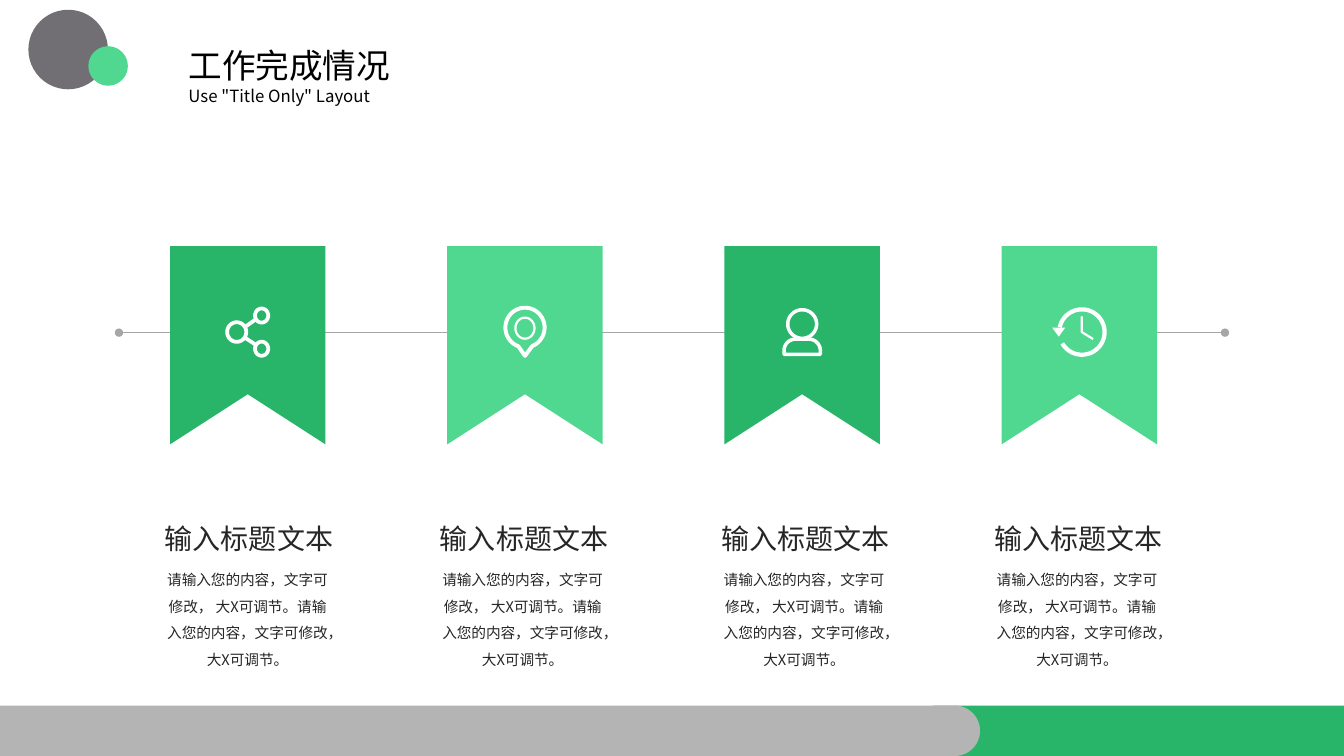
from dataclasses import dataclass
from math import cos, radians, sin

from lxml.etree import SubElement
from pptx import Presentation
from pptx.dml.color import RGBColor
from pptx.enum.shapes import MSO_CONNECTOR, MSO_SHAPE
from pptx.enum.text import MSO_ANCHOR, MSO_AUTO_SIZE, PP_ALIGN
from pptx.oxml.ns import qn
from pptx.shapes.autoshape import Shape
from pptx.slide import Slide
from pptx.text.text import TextFrame
from pptx.util import Pt

GREEN = RGBColor(0x28, 0xB5, 0x6A)
MINT = RGBColor(0x50, 0xD8, 0x90)
GRAY = RGBColor(0xB4, 0xB4, 0xB4)
DARK_GRAY = RGBColor(0x71, 0x6F, 0x73)
LINE_GRAY = RGBColor(0xA6, 0xA6, 0xA6)
INK = RGBColor(0x26, 0x26, 0x26)
BLACK = RGBColor(0, 0, 0)
WHITE = RGBColor(0xFF, 0xFF, 0xFF)

FONT = "Noto Sans CJK SC"
HEADING = "输入标题文本"
BODY = "请输入您的内容，文字可修改， 大X可调节。请输入您的内容，文字可修改，大X可调节。"

RIBBON_LEFT, RIBBON_TOP, RIBBON_PITCH = 121.5, 175.8, 198
RIBBON_W, RIBBON_H, NOTCH_H = 111, 141.6, 35.8
TIMELINE_Y = 237.6

Points = list[tuple[float, float]]


@dataclass(frozen=True)
class Decoration:
    kind: MSO_SHAPE
    x: float
    y: float
    w: float
    h: float
    color: RGBColor


@dataclass(frozen=True)
class Stroke:
    points: Points
    width: float
    closed: bool = False
    filled: bool = False


@dataclass(frozen=True)
class Step:
    color: RGBColor
    text_x: float
    icon: list[Stroke]


def arc(cx: float, cy: float, rx: float, ry: float, start: int, end: int) -> Points:
    return [(cx + rx * cos(radians(a)), cy + ry * sin(radians(a)))
            for a in range(start, end + 1, 6)]


def ring(cx: float, cy: float, rx: float, ry: float, width: float) -> Stroke:
    return Stroke(arc(cx, cy, rx, ry, 0, 354), width, closed=True)


SHARE = [
    ring(-7.9, -0.4, 6.8, 7, 2.7),
    ring(9.9, -12.2, 4.7, 5, 2.7),
    ring(9.9, 11.5, 4.7, 5, 2.7),
    Stroke([(-1.8, -4.2), (5.6, -9.4)], 2.7),
    Stroke([(-1.8, 3.8), (5.6, 8.6)], 2.7),
]
PIN = [
    Stroke(arc(0, -3.6, 14, 14.2, 110, 430) + [(0, 16.6)], 2.8, closed=True),
    ring(0, -3.2, 6.8, 7.5, 1.6),
]
PERSON = [
    ring(0, -6.1, 10.3, 10.2, 2.5),
    Stroke([(-13, 15.5)] + arc(-5, 13, 8, 8.3, 180, 270)
           + arc(5, 13, 8, 8.3, 270, 360) + [(13, 15.5)], 2.5, closed=True),
]
CLOCK = [
    Stroke(arc(1.8, -0.4, 16.2, 16.2, 192, 510), 3),
    Stroke([(-19.4, -3.6), (-10.1, -3.6), (-14.7, 2.9)], 0, closed=True, filled=True),
    Stroke([(1.7, -11.5), (1.7, -0.4), (9.8, 4.6)], 1.6),
]

DECORATIONS = [
    Decoration(MSO_SHAPE.ROUNDED_RECTANGLE, 651, 504, 344, 36, GREEN),
    Decoration(MSO_SHAPE.ROUNDED_RECTANGLE, -33, 504, 733, 36, GRAY),
    Decoration(MSO_SHAPE.FLOWCHART_CONNECTOR, 20.3, 7, 56.8, 56.8, DARK_GRAY),
    Decoration(MSO_SHAPE.FLOWCHART_CONNECTOR, 63.1, 33, 28.3, 28.3, MINT),
]
STEPS = [
    Step(GREEN, 116, SHARE),
    Step(MINT, 312.5, PIN),
    Step(GREEN, 513.5, PERSON),
    Step(MINT, 708.5, CLOCK),
]


def paint(sp: Shape, color: RGBColor) -> None:
    sp.shadow.inherit = False
    sp.fill.solid()
    sp.fill.fore_color.rgb = color
    sp.line.fill.background()


def place(sp: Shape, x: float, y: float, w: float, h: float) -> None:
    sp.left, sp.top, sp.width, sp.height = Pt(x), Pt(y), Pt(w), Pt(h)


def write(tf: TextFrame, text: str, size: float, color: RGBColor,
          align: PP_ALIGN = PP_ALIGN.LEFT, spacing: float = 1.0) -> None:
    tf.word_wrap = True
    tf.auto_size = MSO_AUTO_SIZE.NONE
    tf.vertical_anchor = MSO_ANCHOR.TOP
    p = tf.paragraphs[0]
    p.add_run().text = text
    p.alignment = align
    p.line_spacing = spacing
    p.font.name = FONT
    p.font.size = Pt(size)
    p.font.color.rgb = color
    SubElement(p._p.pPr.find(qn("a:defRPr")), qn("a:ea"), typeface=FONT)


def add_caption(s: Slide, x: float, y: float, h: float, text: str,
                size: float, spacing: float) -> None:
    tf = s.shapes.add_textbox(Pt(x), Pt(y), Pt(121.7), Pt(h)).text_frame
    tf.margin_left = tf.margin_right = tf.margin_top = tf.margin_bottom = 0
    write(tf, text, size, INK, PP_ALIGN.CENTER, spacing)


def add_outline(s: Slide, points: Points, closed: bool) -> Shape:
    emu = [(Pt(x), Pt(y)) for x, y in points]
    builder = s.shapes.build_freeform(*emu[0], scale=1.0)
    builder.add_line_segments(emu[1:], close=closed)
    return builder.convert_to_shape()


def add_stroke(s: Slide, stroke: Stroke, cx: float, cy: float) -> None:
    sp = add_outline(s, [(cx + x, cy + y) for x, y in stroke.points], stroke.closed)
    paint(sp, WHITE)
    if not stroke.filled:
        sp.fill.background()
        sp.line.color.rgb = WHITE
        sp.line.width = Pt(stroke.width)


def add_timeline(s: Slide) -> None:
    line = s.shapes.add_connector(MSO_CONNECTOR.STRAIGHT, Pt(85), Pt(TIMELINE_Y),
                                  Pt(875), Pt(TIMELINE_Y))
    line.line.color.rgb = LINE_GRAY
    line.line.width = Pt(1)
    for end in ("a:headEnd", "a:tailEnd"):
        SubElement(line.line._get_or_add_ln(), qn(end), type="oval")
    SubElement(line._element.spPr, qn("a:effectLst"))


def add_step(s: Slide, index: int, step: Step) -> None:
    left = RIBBON_LEFT + index * RIBBON_PITCH
    center, right, bottom = left + RIBBON_W / 2, left + RIBBON_W, RIBBON_TOP + RIBBON_H
    ribbon = [(left, RIBBON_TOP), (right, RIBBON_TOP), (right, bottom),
              (center, bottom - NOTCH_H), (left, bottom)]
    paint(add_outline(s, ribbon, True), step.color)
    for stroke in step.icon:
        add_stroke(s, stroke, center, TIMELINE_Y)
    add_caption(s, step.text_x + 1, 372.2, 24.5, HEADING, 20, 1.0)
    add_caption(s, step.text_x, 401.8, 76.3, BODY, 10.5, 1.5)


def main() -> None:
    prs = Presentation()
    prs.slide_width, prs.slide_height = Pt(960), Pt(540)
    s = prs.slides.add_slide(prs.slide_layouts[5])
    for d in DECORATIONS:
        sp = s.shapes.add_shape(d.kind, Pt(d.x), Pt(d.y), Pt(d.w), Pt(d.h))
        paint(sp, d.color)
        if d.kind == MSO_SHAPE.ROUNDED_RECTANGLE:
            sp.adjustments[0] = 0.5
    place(s.shapes.title, 127.5, 28.8, 281, 36)
    write(s.shapes.title.text_frame, "工作完成情况", 24, BLACK)
    subtitle = s.shapes.add_textbox(Pt(127.5), Pt(57.6), Pt(281), Pt(21.6))
    write(subtitle.text_frame, 'Use "Title Only" Layout', 12, BLACK)
    add_timeline(s)
    for index, step in enumerate(STEPS):
        add_step(s, index, step)
    prs.save("out.pptx")


if __name__ == "__main__":
    main()
